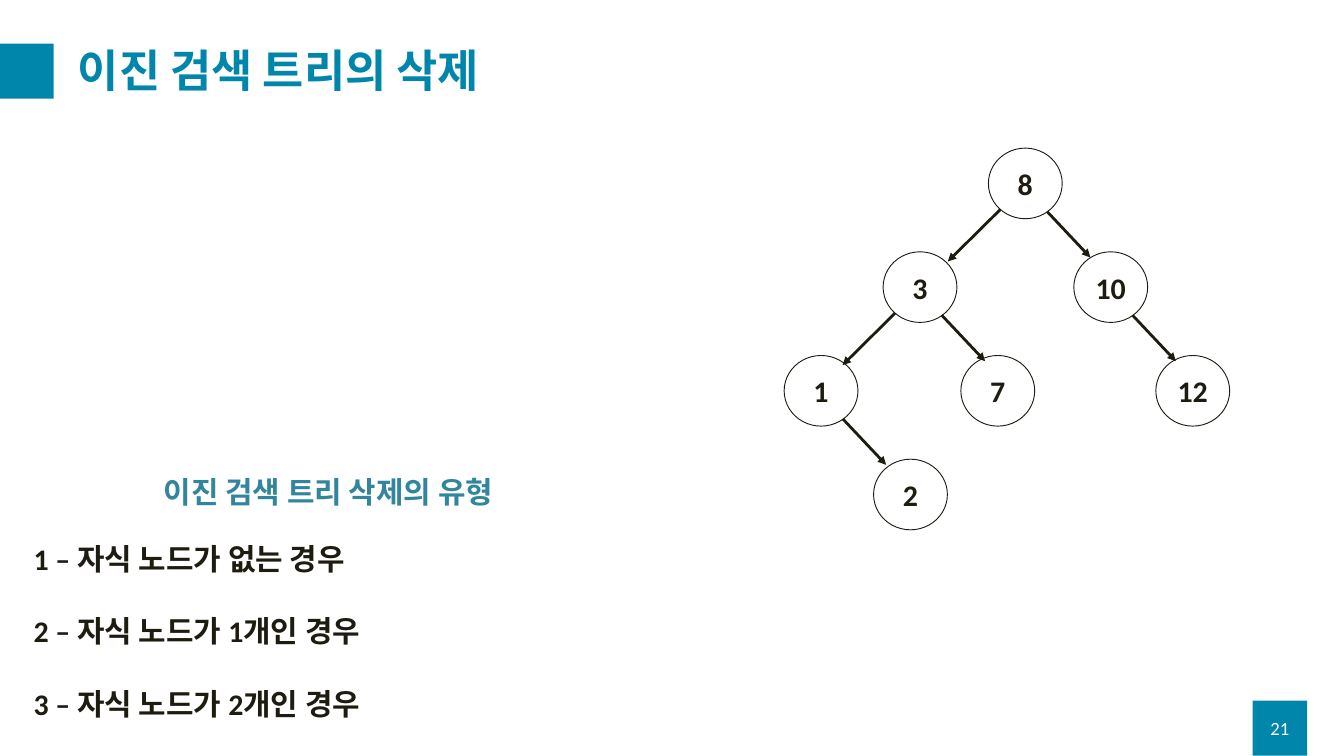
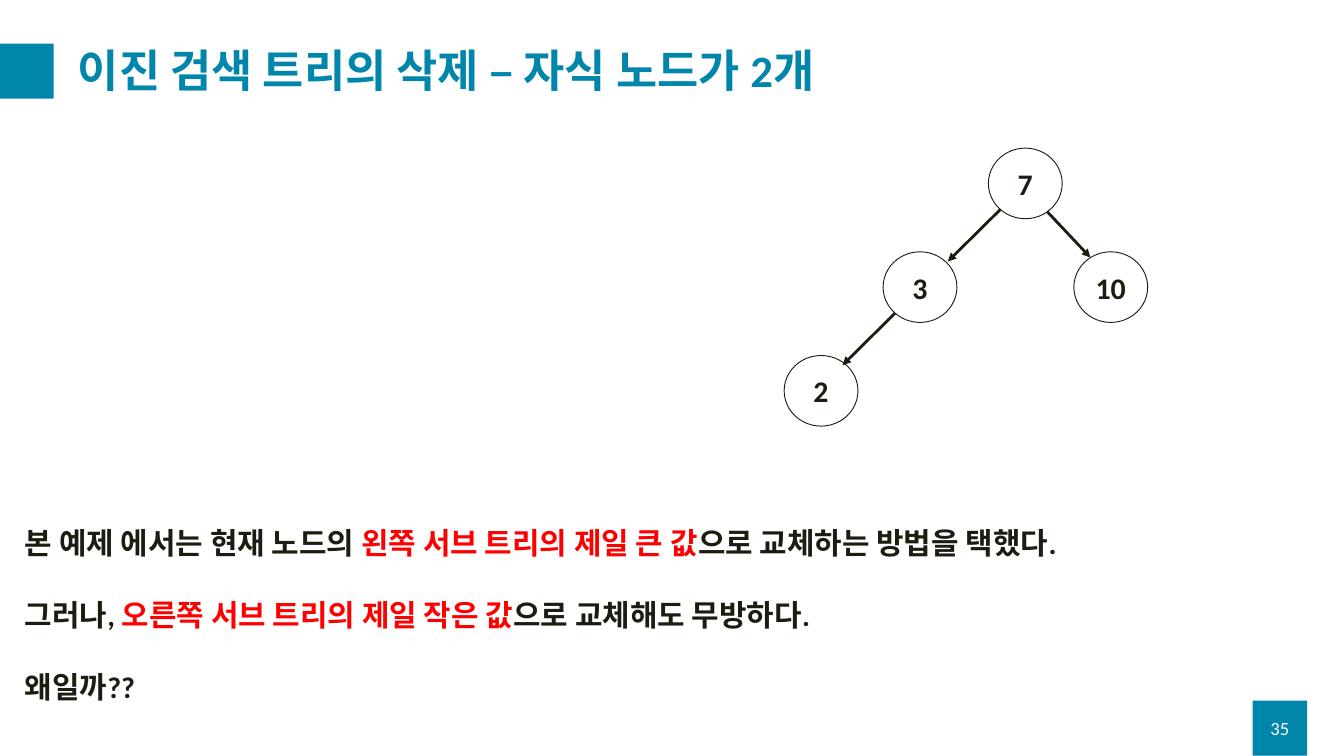
from lxml.etree import SubElement
from pptx import Presentation
from pptx.dml.color import RGBColor
from pptx.enum.shapes import MSO_CONNECTOR as Connector, MSO_SHAPE as Shape
from pptx.enum.text import MSO_ANCHOR as Anchor, MSO_AUTO_SIZE as AutoSize, PP_ALIGN as Align
from pptx.oxml.ns import qn
from pptx.util import Cm, Pt

TEAL, DARK, SUBTEAL, RED, WHITE = "0086AB", "1E1C11", "31859C", "FF0000", "FFFFFF"
FONT = "Calibri"

SLIDES = [
    {
        "title": "이진 검색 트리의 삭제",
        "number": "21",
        "tree": {"": "8", "L": "3", "R": "10", "LL": "1", "LR": "7", "LLR": "2", "RR": "12"},
        "texts": [
            ((1.02, 20.32, 30.12, 7.09), DARK, [
                [("1 – 자식 노드가 없는 경우", DARK)],
                [("2 – 자식 노드가 1개인 경우", DARK)],
                [("3 – 자식 노드가 2개인 경우", DARK)],
            ]),
            ((5.94, 17.78, 14.73, 1.63), SUBTEAL, [[("이진 검색 트리 삭제의 유형", SUBTEAL)]]),
        ],
    },
    {
        "title": "이진 검색 트리의 삭제 – 자식 노드가 2개",
        "number": "35",
        "tree": {"": "7", "L": "3", "R": "10", "LL": "2"},
        "texts": [
            ((0.69, 19.71, 46.66, 7.09), DARK, [
                [("본 예제 에서는 현재 노드의 ", DARK), ("왼쪽 서브 트리의 제일 큰 값", RED),
                 ("으로 교체하는 방법을 택했다.", DARK)],
                [("그러나, ", DARK), ("오른쪽 서브 트리의 제일 작은 값", RED),
                 ("으로 교체해도 무방하다.", DARK)],
                [("왜일까??", DARK)],
            ]),
        ],
    },
]

NODE_LEFT = {"": 37.36, "L": 33.38, "R": 40.59, "LL": 29.64, "LR": 36.32, "LLR": 33.02, "RR": 43.69}
NODE_WIDTH, NODE_HEIGHT = 2.79, 2.67
TREE_TOP, LEVEL_STEP = 5.6, 3.92
ARROW_START = {"L": (-0.95, 0.99), "R": (0.82, 1.06)}
ARROW_REACH = {"L": (-1.98, 1.96), "R": (1.64, 1.74)}


def color(value):
    """Turn a hex string into a colour."""
    return RGBColor.from_string(value)


def set_font(para, size, tint, bold=True):
    """Give a paragraph its font."""
    para.font.name, para.font.size, para.font.bold = FONT, Pt(size), bold
    para.font.color.rgb = color(tint)


def add_block(page, kind, box, fill, line=None):
    """Add a filled preset shape without shadow."""
    shape = page.shapes.add_shape(kind, *map(Cm, box))
    shape.shadow.inherit = False
    shape.fill.solid()
    shape.fill.fore_color.rgb = color(fill)
    if line:
        shape.line.color.rgb = color(line)
        shape.line.width = Pt(1)
    else:
        shape.line.fill.background()
    return shape


def center_text(shape, text, size, tint, bold):
    """Write one unwrapped line in the middle of a shape."""
    frame = shape.text_frame
    frame.word_wrap = False
    frame.vertical_anchor = Anchor.MIDDLE
    para = frame.paragraphs[0]
    para.text, para.alignment = text, Align.CENTER
    set_font(para, size, tint, bold)


def add_frame(page, title, number):
    """Add the title, the band beside it and the page number."""
    add_block(page, Shape.RECTANGLE, (-0.03, 1.65, 2.06, 2.08), TEAL)
    badge = add_block(page, Shape.RECTANGLE, (47.35, 26.49, 2.06, 2.08), TEAL)
    center_text(badge, number, 20, WHITE, False)
    box = page.shapes.title
    box.left, box.top, box.width, box.height = map(Cm, (2.69, 1.27, 46.36, 3))
    frame = box.text_frame
    frame.auto_size, frame.vertical_anchor = AutoSize.NONE, Anchor.MIDDLE
    para = frame.paragraphs[0]
    para.text, para.alignment, para.line_spacing = title, Align.LEFT, 0.9
    set_font(para, 48, TEAL)


def node_box(key):
    """Place a node by its route of left and right turns from the root."""
    return NODE_LEFT[key], TREE_TOP + LEVEL_STEP * len(key), NODE_WIDTH, NODE_HEIGHT


def add_arrow(page, key):
    """Draw the arrow from a node's parent towards the node."""
    left, top, width, height = node_box(key[:-1])
    (dx, dy), (reach_x, reach_y) = ARROW_START[key[-1]], ARROW_REACH[key[-1]]
    x, y = left + width / 2 + dx, top + height / 2 + dy
    arrow = page.shapes.add_connector(
        Connector.STRAIGHT, Cm(x), Cm(y), Cm(x + reach_x), Cm(y + reach_y))
    arrow.line.color.rgb = color(DARK)
    arrow.line.width = Pt(3)
    SubElement(arrow.line._get_or_add_ln(), qn("a:tailEnd"), type="triangle")
    SubElement(arrow._element.spPr, qn("a:effectLst"))


def add_tree(page, tree):
    """Draw the nodes, then the arrows that join them."""
    for key, value in tree.items():
        node = add_block(page, Shape.OVAL, node_box(key), WHITE, DARK)
        center_text(node, value, 32, DARK, True)
    for key in filter(None, tree):
        add_arrow(page, key)


def add_text(page, box, tint, lines):
    """Add spaced paragraphs whose runs may differ in colour."""
    frame = page.shapes.add_textbox(*map(Cm, box)).text_frame
    frame.word_wrap = True
    frame.auto_size = AutoSize.SHAPE_TO_FIT_TEXT
    for index, spans in enumerate(lines):
        para = frame.add_paragraph() if index else frame.paragraphs[0]
        para.space_before = Pt(39 if index else 0)
        set_font(para, 32, tint)
        for text, span_tint in spans:
            span = para.add_run()
            span.text = text
            if span_tint != tint:
                span.font.color.rgb = color(span_tint)


def main():
    """Build the deck."""
    deck = Presentation()
    deck.slide_width, deck.slide_height = Cm(50.8), Cm(28.58)
    for content in SLIDES:
        page = deck.slides.add_slide(deck.slide_layouts[5])
        add_frame(page, content["title"], content["number"])
        add_tree(page, content["tree"])
        for box, tint, lines in content["texts"]:
            add_text(page, box, tint, lines)
    deck.save("out.pptx")


if __name__ == "__main__":
    main()
